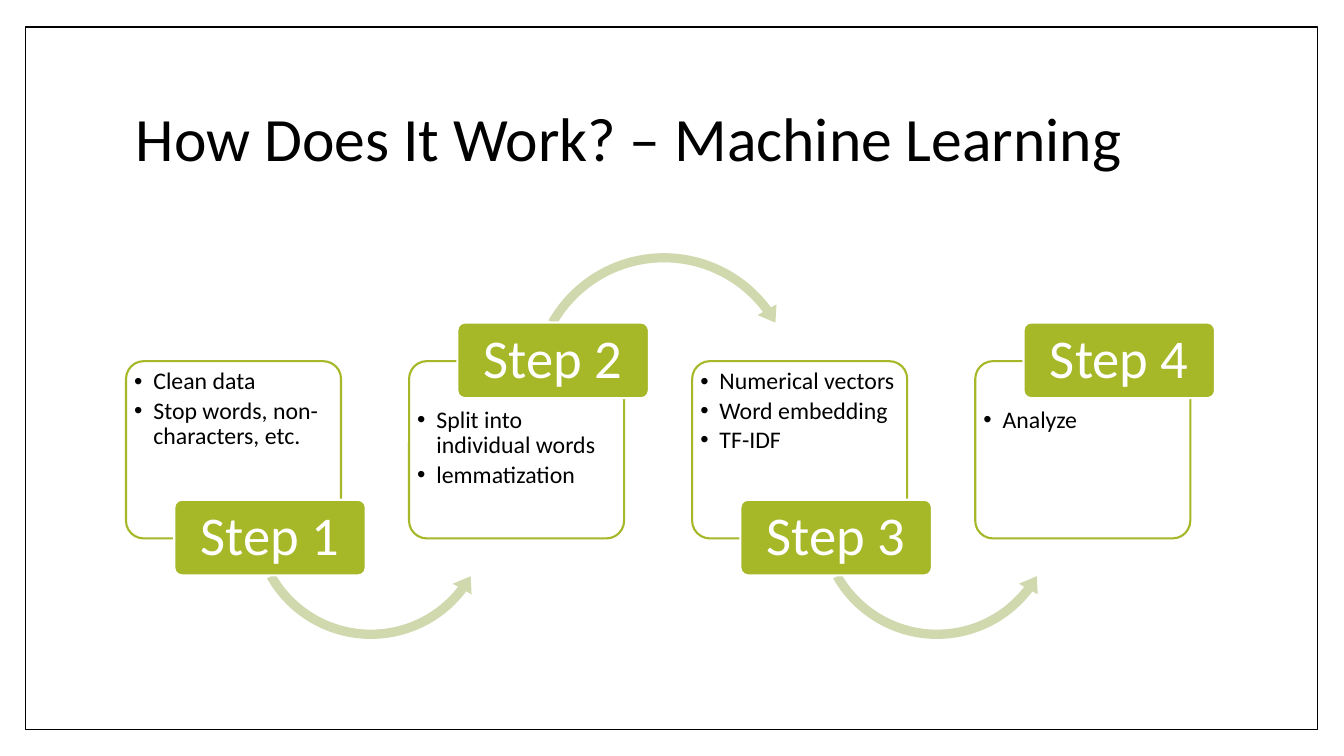
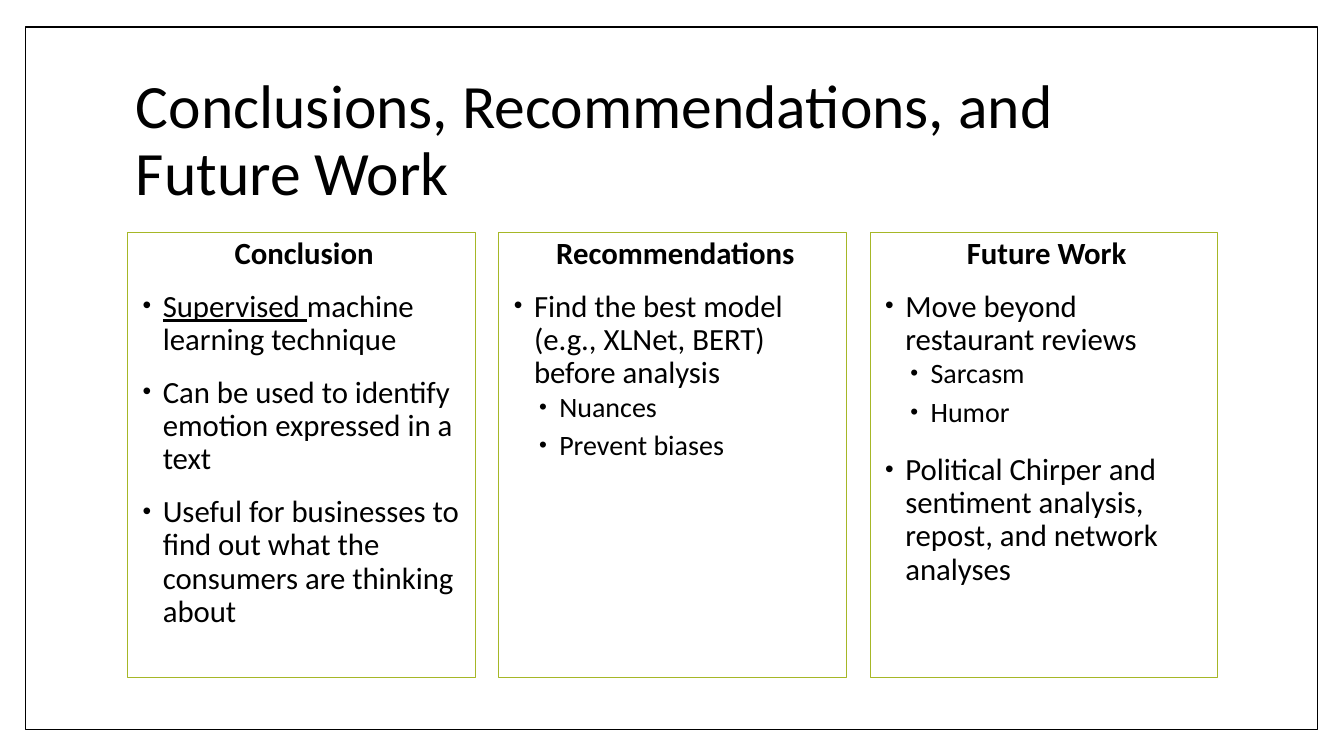
import lxml.etree
import pptx
import pptx.dml.color
import pptx.enum.shapes
import pptx.enum.text
import pptx.oxml.ns
import pptx.util

Color = pptx.dml.color.RGBColor
Form = pptx.enum.shapes.MSO_SHAPE
Align = pptx.enum.text.PP_ALIGN
Anchor = pptx.enum.text.MSO_ANCHOR
Pt = pptx.util.Pt
Inches = pptx.util.Inches

BLACK = Color(0x00, 0x00, 0x00)
WHITE = Color(0xFF, 0xFF, 0xFF)
GREEN = Color(0xA6, 0xB7, 0x27)
PALE = Color(0xD0, 0xD8, 0xAD)
FONT = "Calibri"

# The slide is a grid of 160 columns by 90 rows
COLS, ROWS = 160, 90
CELL = Inches(1) / 12

# Steps: box corner, size and pitch, then the tab on each box
STEP_X, STEP_Y, STEP_W, STEP_H, STEP_GAP = 15, 43, 25.6, 21.1, 33.7
TAB_X, TAB_W, TAB_H = 5.75, 22.8, 9
TAB_LOW, TAB_HIGH = 59.5, 38.4

# Arrows: form, column in the step, row, size, adjustments
ARC_LOW = (Form.LEFT_CIRCULAR_ARROW, 14.2, 46.9, 29.9,
           (0.037, 4.615, 22.37, 90.245, 0.043))
ARC_HIGH = (Form.CIRCULAR_ARROW, 13.8, 29.4, 33.1,
            (0.033, 4.124, 194.121, 125.755, 0.039))

STEPS = [
    ["Clean data", "Stop words, non-characters, etc."],
    ["Split into individual words", "lemmatization"],
    ["Numerical vectors", "Word embedding", "TF-IDF"],
    ["Analyze"],
]

# Panels: heading, then (level, runs); a run is (text, underlined)
PANEL_X, PANEL_Y, PANEL_W, PANEL_H, PANEL_GAP = 15.2, 27.7, 41.4, 53, 44.2
PANELS = [
    ("Conclusion", [
        (0, [("Supervised ", True), ("machine learning technique", False)]),
        (0, [("Can be used to identify emotion expressed in a text", False)]),
        (0, [("Useful for businesses to find out what the consumers "
              "are thinking about", False)]),
    ]),
    ("Recommendations", [
        (0, [("Find the best model (e.g., XLNet, BERT) before analysis",
              False)]),
        (1, [("Nuances", False)]),
        (1, [("Prevent biases", False)]),
    ]),
    ("Future Work", [
        (0, [("Move beyond restaurant reviews", False)]),
        (1, [("Sarcasm", False)]),
        (1, [("Humor", False)]),
        (0, [("Political Chirper and sentiment analysis, repost, "
              "and network analyses", False)]),
    ]),
]


def grid(*cells):
    return [round(n * CELL) for n in cells]


# Shapes and text
def add_form(slide, form, area, fill=None, line=None, width=1):
    shape = slide.shapes.add_shape(form, *grid(*area))
    shape.shadow.inherit = False
    if fill is None:
        shape.fill.background()
    else:
        shape.fill.solid()
        shape.fill.fore_color.rgb = fill
    if line is None:
        shape.line.fill.background()
    else:
        shape.line.color.rgb = line
        shape.line.width = Pt(width)
    return shape


def set_frame(shape, anchor, insets=(0.1, 0.05, 0.1, 0.05)):
    frame = shape.text_frame
    frame.word_wrap = True
    frame.vertical_anchor = anchor
    (frame.margin_left, frame.margin_top,
     frame.margin_right, frame.margin_bottom) = map(Inches, insets)
    return frame


def add_para(frame, first=False, align=Align.LEFT, before=0, after=0, level=0):
    para = frame.paragraphs[0] if first else frame.add_paragraph()
    para.alignment = align
    para.level = level
    para.line_spacing = 0.9
    para.space_before, para.space_after = Pt(before), Pt(after)
    return para


def add_run(para, text, size, color=BLACK, bold=False, under=False):
    run = para.add_run()
    run.text = text
    font = run.font
    font.name, font.size, font.bold = FONT, Pt(size), bold
    font.underline = under
    font.color.rgb = color


def indent(para, left, hang=0):
    props = para._p.get_or_add_pPr()
    props.set("marL", str(Inches(left)))
    props.set("indent", str(-Inches(hang)))
    return props


def bullet(para, left, hang, share=100):
    props = indent(para, left, hang)
    for tag, key, value in (("a:buSzPct", "val", str(share * 1000)),
                            ("a:buFont", "typeface", "Arial"),
                            ("a:buChar", "char", "•")):
        item = lxml.etree.SubElement(props, pptx.oxml.ns.qn(tag))
        item.set(key, value)


# Shared look: border and title
def add_page(deck, title):
    slide = deck.slides.add_slide(deck.slide_layouts[6])
    add_form(slide, Form.RECTANGLE, (3, 3.24, 153.84, 83.64), WHITE, BLACK)
    box = slide.shapes.add_textbox(*grid(15, 8, 129.6, 17.8))
    frame = set_frame(box, Anchor.MIDDLE)
    add_run(add_para(frame, first=True), title, 44)
    return slide


def add_arc(slide, left, arc):
    form, shift, top, size, turns = arc
    shape = add_form(slide, form, (left + shift, top, size, size), PALE)
    for i, turn in enumerate(turns):
        shape.adjustments[i] = turn


def add_step(slide, index, lines):
    left = STEP_X + index * STEP_GAP
    high = index % 2 == 1

    # Box with its list
    box = add_form(slide, Form.ROUNDED_RECTANGLE,
                   (left, STEP_Y, STEP_W, STEP_H), WHITE, GREEN, 1.5)
    box.adjustments[0] = 0.1
    frame = set_frame(box, Anchor.TOP, (0.03, 0.41 if high else 0.03, 0.03, 0))
    for i, line in enumerate(lines):
        para = add_para(frame, first=i == 0, after=2.5)
        add_run(para, line, 17)
        bullet(para, 0.19, 0.19)

    # Arrow to the next step
    if index < len(STEPS) - 1:
        add_arc(slide, left, ARC_HIGH if high else ARC_LOW)

    # Tab with the step's number
    top = TAB_HIGH if high else TAB_LOW
    tab = add_form(slide, Form.ROUNDED_RECTANGLE,
                   (left + TAB_X, top, TAB_W, TAB_H), GREEN, WHITE, 1.5)
    tab.adjustments[0] = 0.1
    frame = set_frame(tab, Anchor.MIDDLE, (0.08, 0.05, 0.08, 0.05))
    para = add_para(frame, first=True, align=Align.CENTER)
    add_run(para, f"Step {index + 1}", 39, WHITE)


def add_panel(slide, index, head, items):
    area = (PANEL_X + index * PANEL_GAP, PANEL_Y, PANEL_W, PANEL_H)
    box = add_form(slide, Form.RECTANGLE, area, line=GREEN, width=0.75)
    frame = set_frame(box, Anchor.TOP)
    para = add_para(frame, first=True, align=Align.CENTER, before=14)
    indent(para, 0.05)
    add_run(para, head, 22, bold=True)
    for level, runs in items:
        before, after, size, left = [(14, 0, 22, 0.25), (2, 4, 20, 0.5)][level]
        para = add_para(frame, before=before, after=after, level=level)
        for text, under in runs:
            add_run(para, text, size, under=under)
        bullet(para, left, 0.2, 80)


def main():
    deck = pptx.Presentation()
    deck.slide_width, deck.slide_height = grid(COLS, ROWS)

    slide = add_page(deck, "How Does It Work? – Machine Learning")
    for i, lines in enumerate(STEPS):
        add_step(slide, i, lines)

    slide = add_page(deck, "Conclusions, Recommendations, and Future Work")
    for i, (head, items) in enumerate(PANELS):
        add_panel(slide, i, head, items)

    deck.save("out.pptx")


if __name__ == "__main__":
    main()
